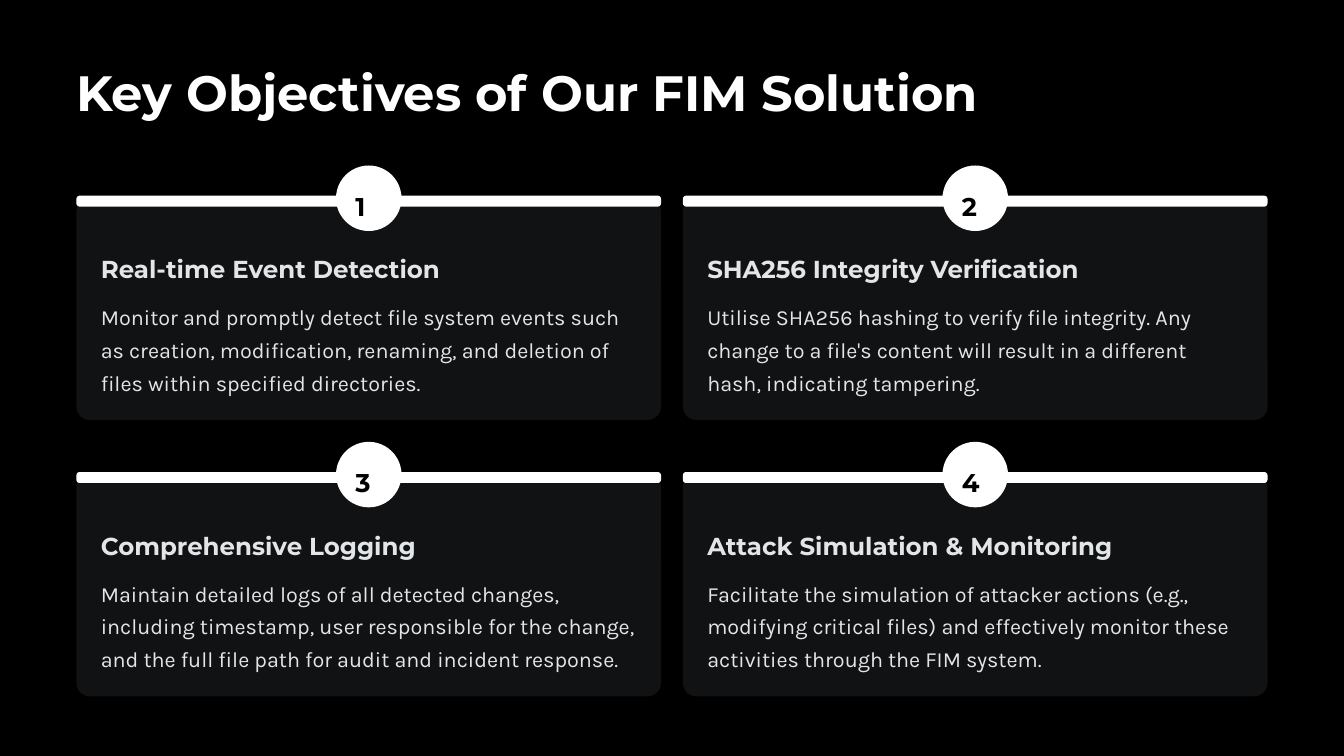
from pptx import Presentation
from pptx.dml.color import RGBColor
from pptx.enum.shapes import MSO_SHAPE
from pptx.enum.text import MSO_ANCHOR, MSO_AUTO_SIZE, PP_ALIGN
from pptx.util import Inches, Pt

BLACK = RGBColor(0x00, 0x00, 0x00)
WHITE = RGBColor(0xFF, 0xFF, 0xFF)
CARD = RGBColor(0x11, 0x12, 0x13)
TEXT = RGBColor(0xE2, 0xE6, 0xE9)

HEADING_FONT = "Montserrat"
BODY_FONT = "Karla"

LEFT, TOP = 0.91, 2.36
COLUMN_STEP, ROW_STEP = 7.22, 3.29
CARD_W, CARD_H = 6.96, 2.64
BAR_H = 0.13
BADGE = 0.78
PAD = 0.29

OBJECTIVES = [
    ("Real-time Event Detection", 4.09,
     "Monitor and promptly detect file system events such as creation, modification, "
     "renaming, and deletion of files within specified directories."),
    ("SHA256 Integrity Verification", 4.47,
     "Utilise SHA256 hashing to verify file integrity. Any change to a file's content "
     "will result in a different hash, indicating tampering."),
    ("Comprehensive Logging", 3.79,
     "Maintain detailed logs of all detected changes, including timestamp, user responsible "
     "for the change, and the full file path for audit and incident response."),
    ("Attack Simulation & Monitoring", 4.87,
     "Facilitate the simulation of attacker actions (e.g., modifying critical files) and "
     "effectively monitor these activities through the FIM system."),
]


def place(s, x, y, w, h):
    s.left, s.top, s.width, s.height = (Inches(v) for v in (x, y, w, h))


def write(s, text, size, spacing, color, font=HEADING_FONT, bold=True, wrap=False):
    tf = s.text_frame
    tf.text = text
    tf.margin_left = tf.margin_right = tf.margin_top = tf.margin_bottom = 0
    tf.auto_size = MSO_AUTO_SIZE.NONE
    tf.word_wrap = wrap
    tf.vertical_anchor = MSO_ANCHOR.TOP
    p = tf.paragraphs[0]
    p.alignment = PP_ALIGN.LEFT
    p.line_spacing = Pt(spacing)
    f = p.runs[0].font
    f.name, f.size, f.bold = font, Pt(size), bold
    f.color.rgb = color


def add_text(slide, x, y, w, h, *args, **style):
    s = slide.shapes.add_textbox(*(Inches(v) for v in (x, y, w, h)))
    write(s, *args, **style)


def add_block(slide, kind, x, y, w, h, color, radius=None):
    s = slide.shapes.add_shape(kind, *(Inches(v) for v in (x, y, w, h)))
    s.shadow.inherit = False
    s.fill.solid()
    s.fill.fore_color.rgb = color
    s.line.fill.background()
    if radius is not None:
        s.adjustments[0] = radius


def add_objective(slide, number, x, y, heading, heading_w, body):
    badge_x = x + (CARD_W - BADGE) / 2
    add_block(slide, MSO_SHAPE.ROUNDED_RECTANGLE, x, y, CARD_W, CARD_H, CARD, 0.06)
    add_block(slide, MSO_SHAPE.ROUNDED_RECTANGLE, x, y - 0.03, CARD_W, BAR_H, WHITE, 0.29)
    add_block(slide, MSO_SHAPE.OVAL, badge_x, y - BADGE / 2, BADGE, BADGE, WHITE)
    add_text(slide, badge_x + 0.23, y - 0.19, 0.31, 0.39, str(number), 22, 33.5, BLACK)
    add_text(slide, x + PAD, y + 0.65, heading_w, 0.37, heading, 21, 26.5, TEXT)
    add_text(slide, x + PAD, y + 1.18, CARD_W - 2 * PAD, 1.17, body, 18.5, 28, TEXT,
             font=BODY_FONT, bold=False, wrap=True)


def main():
    prs = Presentation()
    prs.slide_width, prs.slide_height = Inches(16), Inches(9)
    slide = prs.slides.add_slide(prs.slide_layouts[5])
    slide.background.fill.solid()
    slide.background.fill.fore_color.rgb = BLACK

    title = slide.shapes.title
    place(title, LEFT, 0.71, 10.74, 0.74)
    write(title, "Key Objectives of Our FIM Solution", 42.5, 53, WHITE)

    for i, objective in enumerate(OBJECTIVES):
        row, column = divmod(i, 2)
        add_objective(slide, i + 1, LEFT + column * COLUMN_STEP, TOP + row * ROW_STEP, *objective)

    prs.save("out.pptx")


if __name__ == "__main__":
    main()
